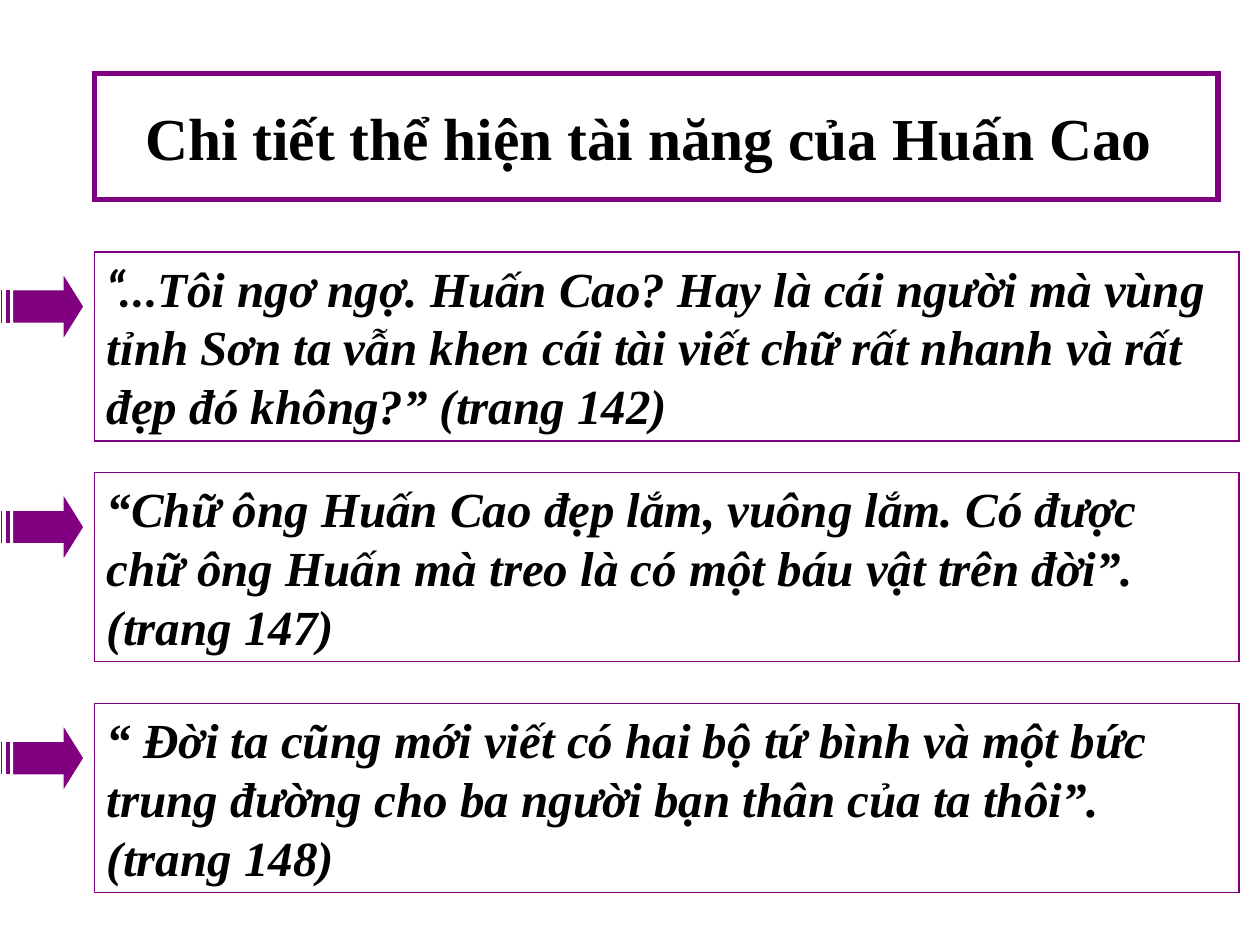
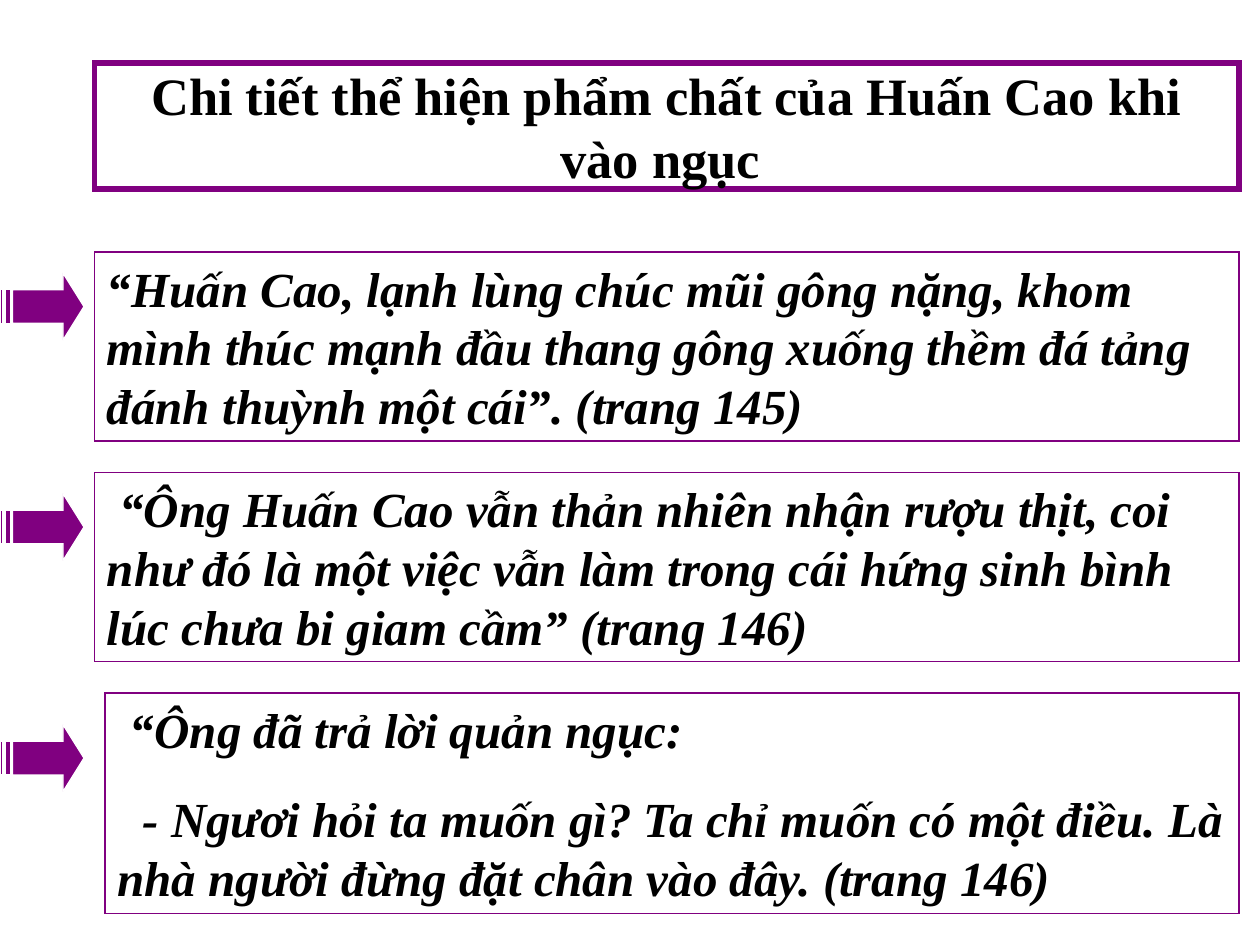
from lxml.etree import SubElement
from pptx import Presentation
from pptx.dml.color import RGBColor
from pptx.enum.shapes import MSO_SHAPE as Preset
from pptx.enum.text import MSO_ANCHOR as Anchor, MSO_AUTO_SIZE as AutoSize, PP_ALIGN as Align
from pptx.oxml.ns import qn
from pptx.util import Pt

EMU_PER_PX = 7620
SLIDE_SIZE = (1200, 900)
PURPLE, BLACK, WHITE = "800080", "000000", "FFFFFF"
SERIF, SANS = "Times New Roman", "Lato"
TITLE_ONLY = 5

VOWELS = "aăâeêioôơuưy"
TONED_VOWELS = {
    0x300: "àằầèềìòồờùừỳ",
    0x301: "áắấéếíóốớúứý",
    0x303: "ãẵẫẽễĩõỗỡũữỹ",
    0x309: "ảẳẩẻểỉỏổởủửỷ",
    0x323: "ạặậẹệịọộợụựỵ",
}
TONE_TABLE = str.maketrans({
    toned: vowel + chr(mark)
    for mark, row in TONED_VOWELS.items()
    for toned, vowel in zip(row, VOWELS)
})

BOX_LEFT, BOX_RIGHT, BOX_HEIGHT = 90, 1180, 180
ARROW_TOPS = (260, 470, 690)
BOX_TOPS = (240, 450, 670)
ARROW_PARTS = (
    ((12, 16), (60, 16), (60, 0), (80, 32), (60, 64), (60, 48), (12, 48)),
    ((0, 16), (3, 16), (3, 48), (0, 48)),
    ((5, 16), (10, 16), (10, 48), (5, 48)),
)


def px(length):
    return length * EMU_PER_PX


def color(hex_string):
    return RGBColor.from_string(hex_string)


def separate_tones(text):
    return text.translate(TONE_TABLE)


def set_outline(shape, hex_string, width):
    shape.line.color.rgb = color(hex_string)
    shape.line.width = Pt(width)
    outline = shape._element.spPr.find(qn("a:ln"))
    SubElement(outline, qn("a:miter"), lim="800000")


def set_font(paragraph, size, italic=False):
    font = paragraph.font
    font.name, font.size = SERIF, Pt(size)
    font.bold, font.italic = True, italic
    font.color.rgb = color(BLACK)


def place_title(slide, text, top, width, size):
    title = slide.shapes.title
    title.left, title.top = px(BOX_LEFT), px(top)
    title.width, title.height = px(width), px(120)
    set_outline(title, PURPLE, 3)
    frame = title.text_frame
    frame.text = separate_tones(text)
    frame.auto_size = AutoSize.NONE
    frame.vertical_anchor = Anchor.MIDDLE
    paragraph = frame.paragraphs[0]
    paragraph.alignment = Align.CENTER
    set_font(paragraph, size)


def add_striped_arrow(slide, left, top):
    builder = None
    for start, *points in ARROW_PARTS:
        if builder is None:
            builder = slide.shapes.build_freeform(*start, scale=EMU_PER_PX)
        else:
            builder.move_to(*start)
        builder.add_line_segments(points, close=True)
    arrow = builder.convert_to_shape(px(left), px(top))
    arrow.shadow.inherit = False
    arrow.fill.solid()
    arrow.fill.fore_color.rgb = color(PURPLE)
    set_outline(arrow, WHITE, 0.75)


def add_quote_box(slide, paragraphs, top, left=BOX_LEFT, height=BOX_HEIGHT):
    box = slide.shapes.add_shape(
        Preset.RECTANGLE, px(left), px(top), px(BOX_RIGHT - left), px(height))
    box.shadow.inherit = False
    box.fill.background()
    set_outline(box, PURPLE, 0.75)
    frame = box.text_frame
    frame.word_wrap = True
    frame.auto_size = AutoSize.SHAPE_TO_FIT_TEXT
    frame.vertical_anchor = Anchor.TOP
    for index, (indent, text) in enumerate(paragraphs):
        paragraph = frame.add_paragraph() if index else frame.paragraphs[0]
        if index:
            paragraph.space_before = Pt(17.5)
        if indent:
            properties = paragraph._p.get_or_add_pPr()
            properties.set("marL", "0")
            properties.set("indent", str(px(indent)))
        paragraph.alignment = Align.LEFT
        opening = "“…"
        if text.startswith(opening):
            run = paragraph.add_run()
            run.text = opening
            run.font.name = SANS
            text = text.removeprefix(opening)
        paragraph.add_run().text = separate_tones(text)
        set_font(paragraph, 28, italic=True)


def add_quote_slide(presentation, title, quotes):
    slide = presentation.slides.add_slide(presentation.slide_layouts[TITLE_ONLY])
    place_title(slide, **title)
    for arrow_top, box_top, quote in zip(ARROW_TOPS, BOX_TOPS, quotes):
        add_striped_arrow(slide, 0, arrow_top)
        add_quote_box(slide, **{"top": box_top, **quote})


def main():
    presentation = Presentation()
    presentation.slide_width, presentation.slide_height = map(px, SLIDE_SIZE)
    add_quote_slide(
        presentation,
        {"text": "Chi tiết thể hiện tài năng của Huấn Cao ",
         "top": 70, "width": 1070, "size": 34},
        [
            {"paragraphs": [(0, "“…Tôi ngơ ngợ. Huấn Cao? Hay là cái người mà vùng tỉnh Sơn ta "
                                "vẫn khen cái tài viết chữ rất nhanh và rất đẹp đó không?” "
                                "(trang 142)")]},
            {"paragraphs": [(0, "“Chữ ông Huấn Cao đẹp lắm, vuông lắm. Có được chữ ông Huấn "
                                "mà treo là có một báu vật trên đời”. (trang 147)")]},
            {"paragraphs": [(0, "“ Đời ta cũng mới viết có hai bộ tứ bình và một bức trung "
                                "đường cho ba người bạn thân của ta thôi”. (trang 148)")]},
        ])
    add_quote_slide(
        presentation,
        {"text": "Chi tiết thể hiện phẩm chất của Huấn Cao khi vào ngục ",
         "top": 60, "width": 1090, "size": 30},
        [
            {"paragraphs": [(0, "“Huấn Cao, lạnh lùng chúc mũi gông nặng, khom mình thúc mạnh "
                                "đầu thang gông xuống thềm đá tảng đánh thuỳnh một cái”. "
                                "(trang 145)")]},
            {"paragraphs": [(12, "“Ông Huấn Cao vẫn thản nhiên nhận rượu thịt, coi như đó là "
                                 "một việc vẫn làm trong cái hứng sinh bình lúc chưa bi giam "
                                 "cầm” (trang 146)")]},
            {"paragraphs": [(12, "“Ông đã trả lời quản ngục:"),
                            (24, "- Ngươi hỏi ta muốn gì? Ta chỉ muốn có một điều. Là nhà "
                                 "người đừng đặt chân vào đây. (trang 146)")],
             "top": 660, "left": 100, "height": 210},
        ])
    presentation.save("out.pptx")


if __name__ == "__main__":
    main()
